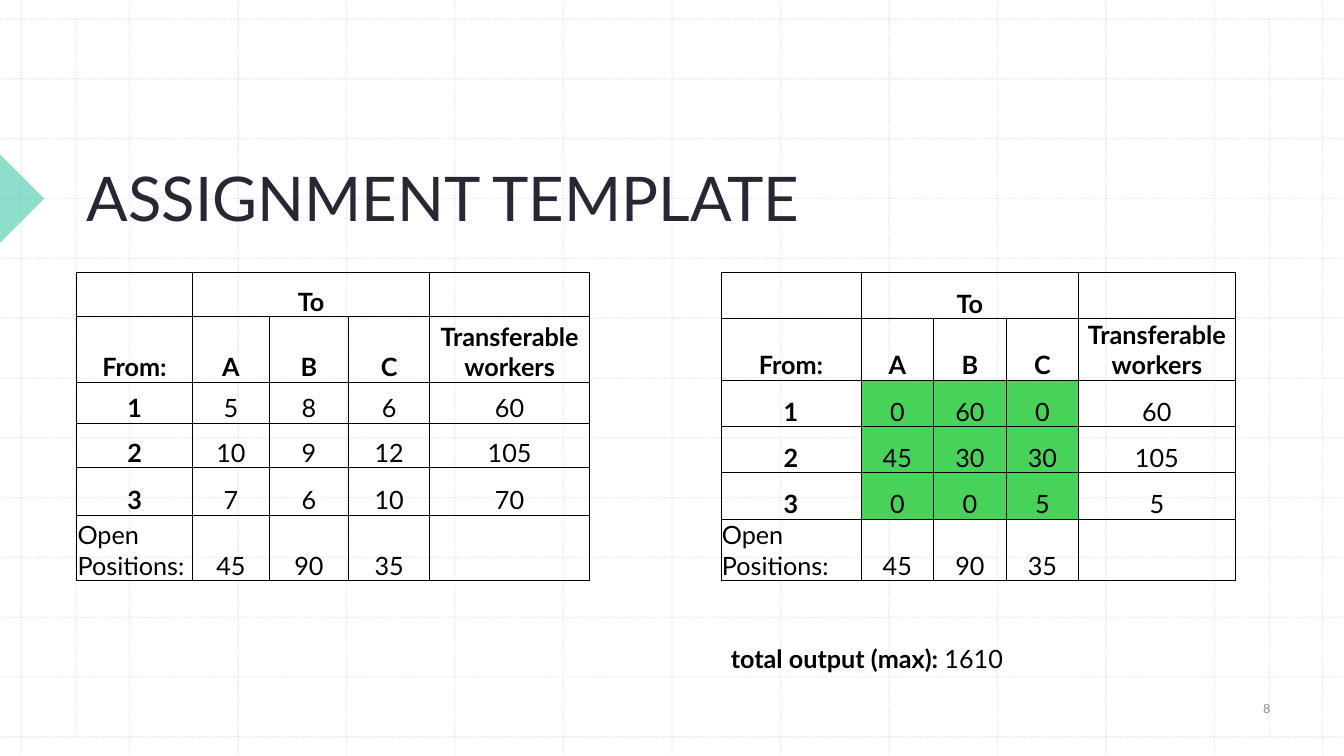
from lxml import etree
from pptx import Presentation
from pptx import util as u
from pptx.dml.color import RGBColor
from pptx.enum import dml, shapes, text
from pptx.oxml import ns

BLACK = RGBColor(0x00, 0x00, 0x00)
INK = RGBColor(0x2A, 0x27, 0x35)
GREY = RGBColor(0x8C, 0x8C, 0x8C)
GRID_GREY = RGBColor(0xBC, 0xBC, 0xBC)
TEAL = RGBColor(0x1E, 0xBE, 0x9B)
GREEN = RGBColor(0x47, 0xD3, 0x59)
FONT = "Lato"
LEFT, CENTER = text.PP_ALIGN.LEFT, text.PP_ALIGN.CENTER
TOP, MIDDLE, BOTTOM = text.MSO_ANCHOR.TOP, text.MSO_ANCHOR.MIDDLE, text.MSO_ANCHOR.BOTTOM

HEADINGS = [
    ["", "To", "", "", ""],
    ["From:", "A", "B", "C", "Transferable workers"],
]
OPENINGS = ["Open Positions:", "45", "90", "35", ""]
OUTPUT_ROWS = [
    ["1", "5", "8", "6", "60"],
    ["2", "10", "9", "12", "105"],
    ["3", "7", "6", "10", "70"],
]
ASSIGNED_ROWS = [
    ["1", "0", "60", "0", "60"],
    ["2", "45", "30", "30", "105"],
    ["3", "0", "0", "5", "5"],
]


def apply_format(target, values):
    """Set each named attribute of the target."""
    for name, value in values.items():
        setattr(target, name, value)


def set_alpha(color_format_parent, percent):
    """Make the colour of a shape or line properties element transparent."""
    color = color_format_parent.find(".//" + ns.qn("a:srgbClr"))
    etree.SubElement(color, ns.qn("a:alpha"), val=str(percent * 1000))


def add_run(paragraph, wording, size, color, bold=False):
    """Add one formatted run to a paragraph."""
    run = paragraph.add_run()
    run.text = wording
    apply_format(run.font, {"name": FONT, "size": u.Pt(size), "bold": bold})
    run.font.color.rgb = color


def add_label(slide, box, runs, anchor=TOP, align=LEFT):
    """Place a wrapping text box holding one paragraph of runs."""
    frame = slide.shapes.add_textbox(*map(u.Inches, box)).text_frame
    apply_format(frame, {"word_wrap": True, "vertical_anchor": anchor})
    paragraph = frame.paragraphs[0]
    paragraph.alignment = align
    for run in runs:
        add_run(paragraph, *run)


def add_grid_line(slide, x1, y1, x2, y2):
    """Draw one faint dotted line."""
    line = slide.shapes.add_connector(
        shapes.MSO_CONNECTOR.STRAIGHT, *map(u.Inches, (x1, y1, x2, y2)))
    line.line.color.rgb = GRID_GREY
    apply_format(line.line, {"width": u.Pt(1), "dash_style": dml.MSO_LINE.ROUND_DOT})
    properties = line._element.spPr
    set_alpha(properties, 30)
    etree.SubElement(properties, ns.qn("a:effectLst"))


def add_background_grid(slide, width, height):
    """Draw the dotted grid and its two margin lines over the given area."""
    inset_x, inset_y, steps = 0.21, 0.19, 12
    step_x = (width - 2 * inset_x) / steps
    step_y = (height - 2 * inset_y) / steps
    for index in range(steps + 1):
        x, y = inset_x + index * step_x, inset_y + index * step_y
        add_grid_line(slide, x, 0, x, height)
        add_grid_line(slide, 0, y, width, y)
    for x in (0.75, width - 0.74):
        add_grid_line(slide, x, inset_y, x, height - inset_y)


def add_title(slide, box):
    """Place the title and the teal marker at the slide edge beside it."""
    left, top, width, height = box
    side = 0.62
    marker = slide.shapes.add_shape(
        shapes.MSO_SHAPE.RIGHT_TRIANGLE, u.Inches(-side / 2),
        u.Inches(top + height - 0.4 - side / 2), u.Inches(side), u.Inches(side))
    marker.rotation = 225
    marker.shadow.inherit = False
    marker.fill.solid()
    marker.fill.fore_color.rgb = TEAL
    set_alpha(marker._element.spPr, 50)
    marker.line.fill.background()
    add_label(slide, box, [("ASSIGNMENT TEMPLATE", 44, INK)], BOTTOM)


def add_borders(cell):
    """Give a cell thin black borders on all sides."""
    properties = cell._tc.get_or_add_tcPr()
    for side in ("lnL", "lnR", "lnT", "lnB"):
        border = etree.SubElement(properties, ns.qn("a:" + side), w=str(u.Pt(0.5)))
        fill = etree.SubElement(border, ns.qn("a:solidFill"))
        etree.SubElement(fill, ns.qn("a:srgbClr"), val=str(BLACK))


def format_cell(cell, wording, bold, align, fill):
    """Write one table cell with its borders, margins and fill."""
    margin = u.Inches(0.01)
    apply_format(cell, {"margin_left": margin, "margin_right": margin, "margin_top": margin,
                        "margin_bottom": 0, "vertical_anchor": BOTTOM})
    add_borders(cell)
    if fill is None:
        cell.fill.background()
    else:
        cell.fill.solid()
        cell.fill.fore_color.rgb = fill
    paragraph = cell.text_frame.paragraphs[0]
    paragraph.alignment = align
    if wording:
        add_run(paragraph, wording, 18, BLACK, bold)


def add_worker_table(slide, box, widths, heights, worker_rows, highlight=None):
    """Place a transfer table, with an optional fill behind its inner values."""
    rows = HEADINGS + worker_rows + [OPENINGS]
    frame = slide.shapes.add_table(len(rows), len(widths), *map(u.Inches, box))
    table = frame.table
    apply_format(table, {"first_row": False, "horz_banding": False})
    for column, width in zip(table.columns, widths):
        column.width = u.Inches(width)
    for row, height in zip(table.rows, heights):
        row.height = u.Inches(height)
    last = len(rows) - 1
    for row, wordings in enumerate(rows):
        for column, wording in enumerate(wordings):
            inner = 2 <= row < last and 1 <= column <= 3
            bold = row < 2 or (column == 0 and row < last)
            align = LEFT if (row, column) == (last, 0) else CENTER
            format_cell(table.cell(row, column), wording, bold, align,
                        highlight if inner else None)
    table.cell(0, 1).merge(table.cell(0, 3))


def main():
    """Build the assignment slide and save it."""
    presentation = Presentation()
    apply_format(presentation, {"slide_width": u.Inches(13.33), "slide_height": u.Inches(7.5)})
    slide = presentation.slides.add_slide(presentation.slide_layouts[6])
    add_background_grid(slide, 13.33, 7.5)
    add_title(slide, (0.76, 0.79, 11.29, 1.58))
    add_worker_table(slide, (0.76, 2.7, 5.09, 3.05), [1.15, 0.76, 0.79, 0.8, 1.59],
                     [0.44, 0.65, 0.41, 0.44, 0.47, 0.65], OUTPUT_ROWS)
    add_worker_table(slide, (7.15, 2.7, 5.1, 3.05), [1.39, 0.72, 0.72, 0.72, 1.55],
                     [0.46, 0.61, 0.46, 0.46, 0.46, 0.61], ASSIGNED_ROWS, GREEN)
    add_label(slide, (7.15, 6.33, 3.88, 0.4),
              [("total output (max): ", 18, BLACK, True), ("1610", 18, BLACK)])
    add_label(slide, (12.03, 6.8, 1.07, 0.46), [("8", 9, GREY)], MIDDLE, CENTER)
    presentation.save("out.pptx")


if __name__ == "__main__":
    main()
